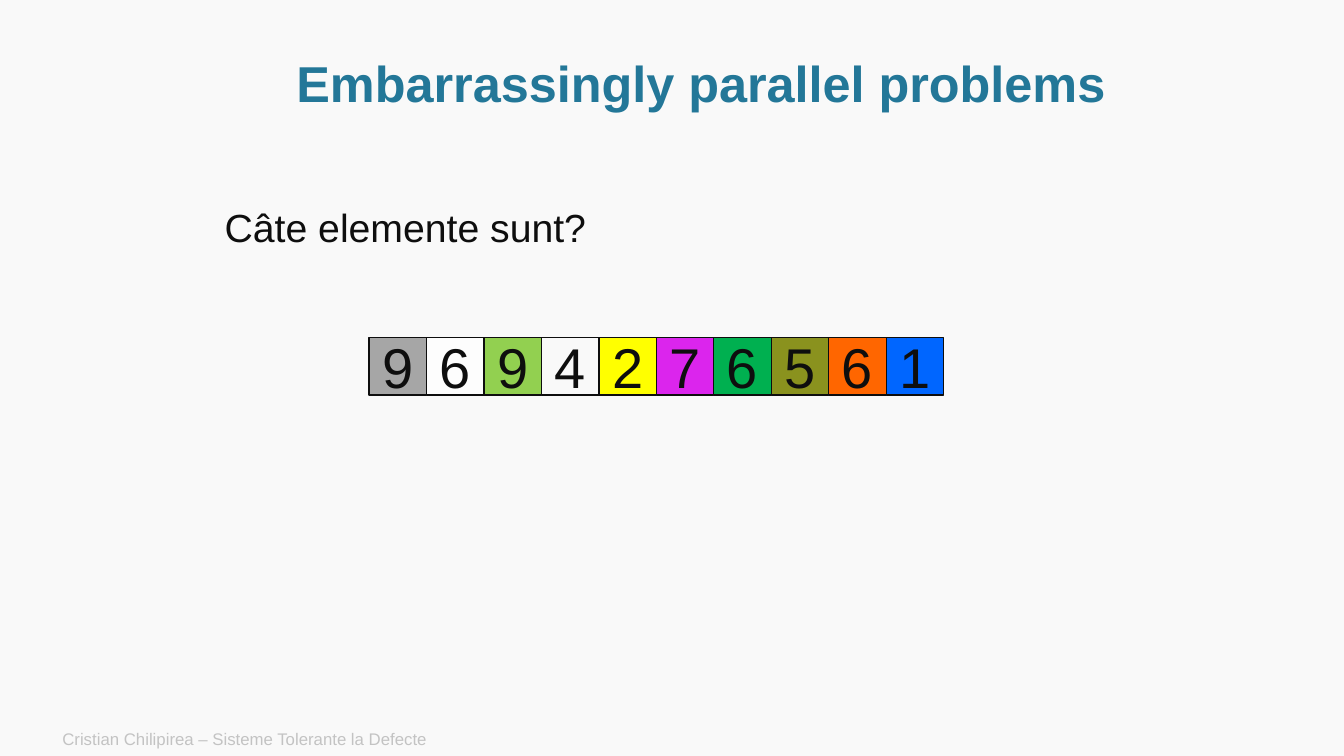
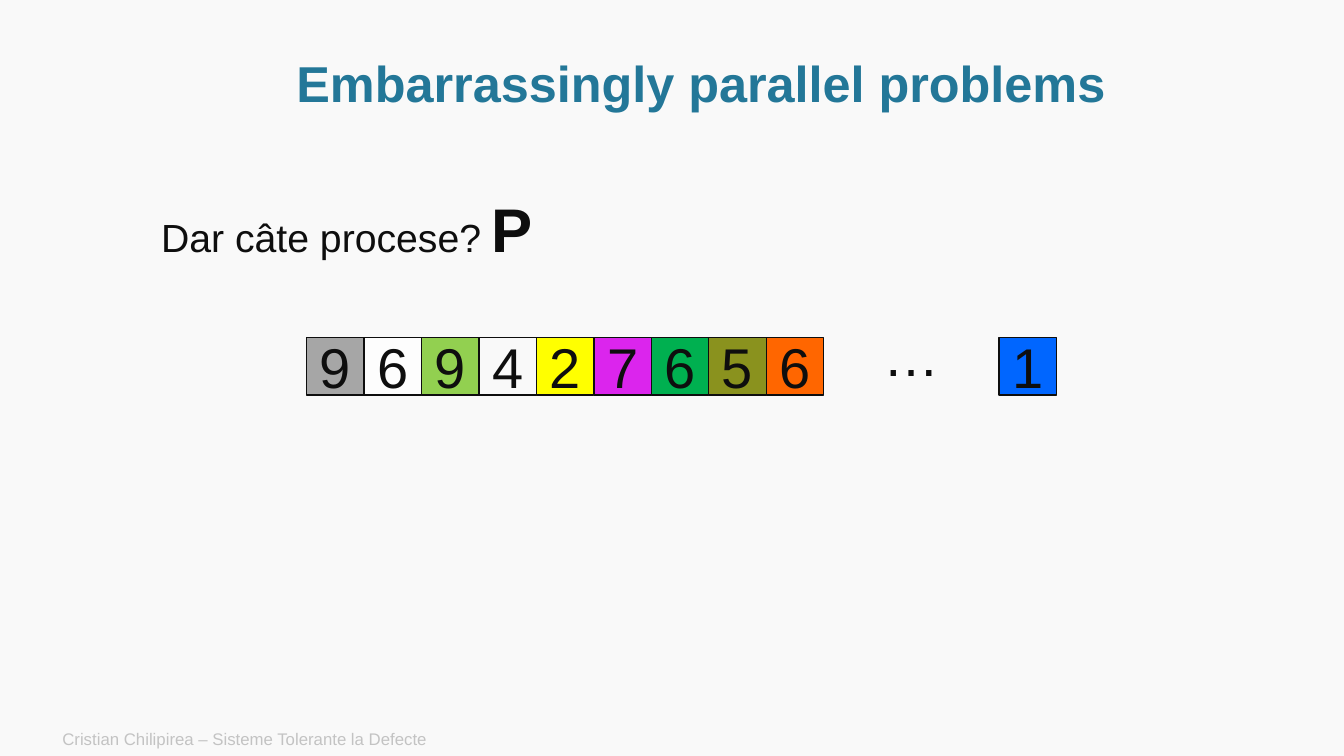
from pptx import Presentation
from pptx.dml.color import RGBColor as RGB
from pptx.enum.shapes import MSO_SHAPE as SHAPE
from pptx.enum.text import MSO_ANCHOR as ANCHOR, PP_ALIGN as ALIGN
from pptx.util import Inches, Pt

W, H = 13.33, 7.5
FONT = "Arial"
CELL = 0.57
ROW_TOP = 3.35
COLORS = {
    "back": "F9F9F9", "title": "237798", "ink": "0E0E0E", "footer": "C3C3C3",
    "gray": "A6A6A6", "white": "FDFDFD", "lime": "92D050", "yellow": "FFFF00",
    "magenta": "DB25ED", "green": "00B050", "olive": "8A921E",
    "orange": "FF6600", "blue": "0066FF",
}
ELEMENTS = [
    ("9", "gray"), ("6", "white"), ("9", "lime"), ("4", None), ("2", "yellow"),
    ("7", "magenta"), ("6", "green"), ("5", "olive"), ("6", "orange"), ("1", "blue"),
]


def color(name):
    """Return the named colour."""
    return RGB.from_string(COLORS[name])


def style(r, size, ink="ink", bold=False):
    """Set the font of a run."""
    r.font.name, r.font.size, r.font.bold = FONT, Pt(size), bold
    r.font.color.rgb = color(ink)


def add_text(s, box, runs, ink="ink", anchor=ANCHOR.TOP, align=ALIGN.LEFT, wrap=True):
    """Add a one-paragraph text box from (text, size, bold) runs."""
    tf = s.shapes.add_textbox(*map(Inches, box)).text_frame
    tf.word_wrap, tf.vertical_anchor = wrap, anchor
    p = tf.paragraphs[0]
    p.alignment = align
    for text, size, bold in runs:
        r = p.add_run()
        r.text = text
        style(r, size, ink, bold)
    return p


def add_row(s, left, top, elements):
    """Draw elements as adjoining square cells."""
    for i, (digit, fill) in enumerate(elements):
        sp = s.shapes.add_shape(
            SHAPE.RECTANGLE, *map(Inches, (left + i * CELL, top, CELL, CELL)))
        sp.shadow.inherit = False
        if fill:
            sp.fill.solid()
            sp.fill.fore_color.rgb = color(fill)
        else:
            sp.fill.background()
        sp.line.color.rgb = color("ink")
        sp.line.width = Pt(1)
        tf = sp.text_frame
        tf.text = digit
        tf.vertical_anchor = ANCHOR.MIDDLE
        p = tf.paragraphs[0]
        p.alignment = ALIGN.CENTER
        style(p.runs[0], 40)


def add_slide(prs):
    """Add a slide with the shared footer and title."""
    s = prs.slides.add_slide(prs.slide_layouts[6])
    add_text(s, (0.52, 7.16, 8.4, 0.34),
             [("Cristian Chilipirea – Sisteme Tolerante la Defecte", 12, False)],
             "footer", ANCHOR.MIDDLE)
    p = add_text(s, (1.14, 0.51, 11.63, 0.69),
                 [("Embarrassingly parallel problems", 36, True)],
                 "title", ANCHOR.MIDDLE, ALIGN.CENTER)
    p.line_spacing = 0.9
    return s


def elements_slide(prs):
    """Ask how many elements the full row holds."""
    s = add_slide(prs)
    add_row(s, 3.66, ROW_TOP, ELEMENTS)
    add_text(s, (2.13, 1.97, 6.93, 0.57), [("Câte elemente sunt?", 28, False)])


def processes_slide(prs):
    """Ask how many processes there are, with the row cut short by dots."""
    s = add_slide(prs)
    add_row(s, 3.04, ROW_TOP, ELEMENTS[:-1])
    add_row(s, 9.91, ROW_TOP, ELEMENTS[-1:])
    add_text(s, (1.5, 1.85, 6.93, 0.84),
             [("Dar câte procese? ", 28, False), ("P", 44, True)])
    add_text(s, (8.66, 3.13, 0.76, 0.77), [("…", 40, False)], wrap=False)


def main():
    """Build and save the presentation."""
    prs = Presentation()
    prs.slide_width, prs.slide_height = Inches(W), Inches(H)
    back = prs.slide_master.background.fill
    back.solid()
    back.fore_color.rgb = color("back")
    elements_slide(prs)
    processes_slide(prs)
    prs.save("out.pptx")


if __name__ == "__main__":
    main()
